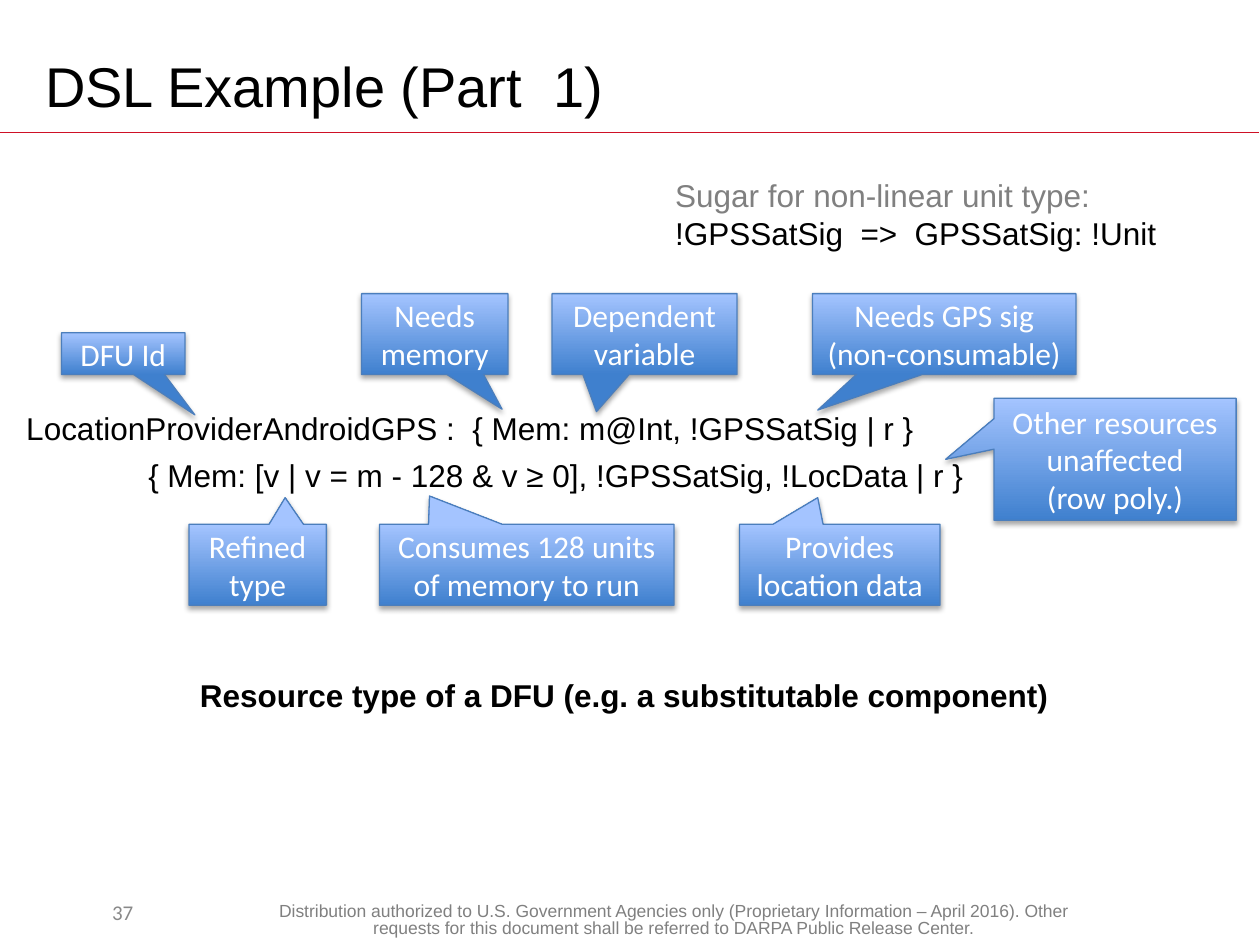
from lxml.etree import SubElement as Sub
from pptx import Presentation
from pptx.dml.color import RGBColor as Rgb
from pptx.enum.shapes import MSO_CONNECTOR as Link, MSO_SHAPE as Kind
from pptx.enum.text import MSO_ANCHOR as Anchor, PP_ALIGN as Align
from pptx.oxml.ns import qn
from pptx.util import Cm, Pt

HUES = {
    "black": "000000", "white": "FFFFFF", "gray": "808080", "pale": "898989",
    "red": "CE1126", "deep": "3F80CE", "light": "A4C4FF", "edge": "4B7EBC",
}


def hue(name):
    return Rgb.from_string(HUES[name])


def write(box, text, size=18, font="Arial", tone="black", bold=False,
          align=Align.LEFT, anchor=Anchor.TOP, wrap=True, space=None):
    frame = box.text_frame
    frame.word_wrap = wrap
    frame.vertical_anchor = anchor
    frame.text = text
    for para in frame.paragraphs:
        para.alignment = align
        if space:
            para.line_spacing = space
        for run in para.runs:
            run.font.size = Pt(size)
            run.font.name = font
            run.font.bold = bold
            run.font.color.rgb = hue(tone)
    return frame.paragraphs


deck = Presentation()
deck.slide_width, deck.slide_height = Cm(25.4), Cm(19.05)
slide = deck.slides.add_slide(deck.slide_layouts[6])
shapes = slide.shapes

rule = shapes.add_connector(Link.STRAIGHT, Cm(0), Cm(2.67), Cm(25.38), Cm(2.67))
rule.line.color.rgb = hue("red")
rule.line.width = Pt(1)
Sub(rule._element.spPr, qn("a:effectLst"))

foot = ("Distribution authorized to U.S. Government Agencies only "
        "(Proprietary Information – April 2016). Other requests for this "
        "document shall be referred to DARPA Public Release Center.")
code = ("LocationProviderAndroidGPS :  { Mem: m@Int, !GPSSatSig | r }\n"
        "{ Mem: [v | v = m - 128 & v ≥ 0], !GPSSatSig, !LocData | r }")
sugar = "Sugar for non-linear unit type:\n!GPSSatSig  =>  GPSSatSig: !Unit"

texts = [
    (foot, 5.36, 18.11, 16.43, 0.79,
     dict(size=10, tone="gray", align=Align.CENTER, space=0.8)),
    ("DSL Example (Part  1)", 0.66, 0.76, 22.86, 1.9,
     dict(size=32, anchor=Anchor.MIDDLE)),
    ("37", 0.71, 17.88, 3.53, 1.02,
     dict(size=12, font="Calibri", tone="pale", align=Align.CENTER,
          anchor=Anchor.MIDDLE)),
    (code, 0.28, 8.13, 25.45, 1.98, {}),
    ("Resource type of a DFU (e.g. a substitutable component)",
     3.78, 13.51, 18.08, 1.02, dict(bold=True)),
    (sugar, 13.36, 3.43, 10.31, 1.8, dict(wrap=False)),
]
paras = {}
for text, left, top, wide, high, form in texts:
    box = shapes.add_textbox(Cm(left), Cm(top), Cm(wide), Cm(high))
    paras[text] = write(box, text, **form)

paras[sugar][0].runs[0].font.color.rgb = hue("gray")
paras[code][1].space_before = Pt(5)
props = paras[code][1]._p.get_or_add_pPr()
props.set("marL", str(Cm(2.46)))
props.set("indent", "0")

UP, LOW, TALL = 5.92, 10.57, 1.63
calls = [
    ("DFU Id", 1.24, 6.71, 2.49, 0.84, 0.58, 1.47),
    ("Needs\vmemory", 7.29, UP, 2.95, TALL, 0.46, 0.93),
    ("Needs GPS sig\v(non-consumable)", 16.38, UP, 5.31, TALL, -0.48, 0.94),
    ("Consumes 128 units\vof memory to run", 7.65, LOW, 5.94, TALL, -0.33, -0.85),
    ("Provides\vlocation data", 14.91, LOW, 4.04, TALL, -0.11, -0.83),
    ("Dependent\vvariable", 11.13, UP, 3.73, TALL, -0.26, 0.96),
    ("Refined\ntype", 3.81, LOW, 2.77, TALL, 0.2, -0.83),
    ("Other resources unaffected\v(row poly.)", 20.04, 8.03, 4.88, 2.46, -0.7, 0),
]
for text, left, top, wide, high, tipx, tipy in calls:
    call = shapes.add_shape(Kind.RECTANGULAR_CALLOUT,
                            Cm(left), Cm(top), Cm(wide), Cm(high))
    call.adjustments[0], call.adjustments[1] = tipx, tipy
    call.fill.gradient()
    call.fill.gradient_angle = 90
    for stop, name in zip(call.fill.gradient_stops, ("deep", "light")):
        stop.color.rgb = hue(name)
    call.line.color.rgb = hue("edge")
    call.line.width = Pt(0.75)
    call.shadow.inherit = False
    glow = Sub(call._element.spPr.find(qn("a:effectLst")), qn("a:outerShdw"),
               blurRad=str(Pt(3.1)), dist=str(Pt(1.8)), dir="5400000",
               rotWithShape="0")
    shade = Sub(glow, qn("a:srgbClr"), val=HUES["black"])
    Sub(shade, qn("a:alpha"), val="35000")
    write(call, text, font="Calibri", tone="white", align=Align.CENTER,
          anchor=Anchor.MIDDLE)

deck.save("out.pptx")
